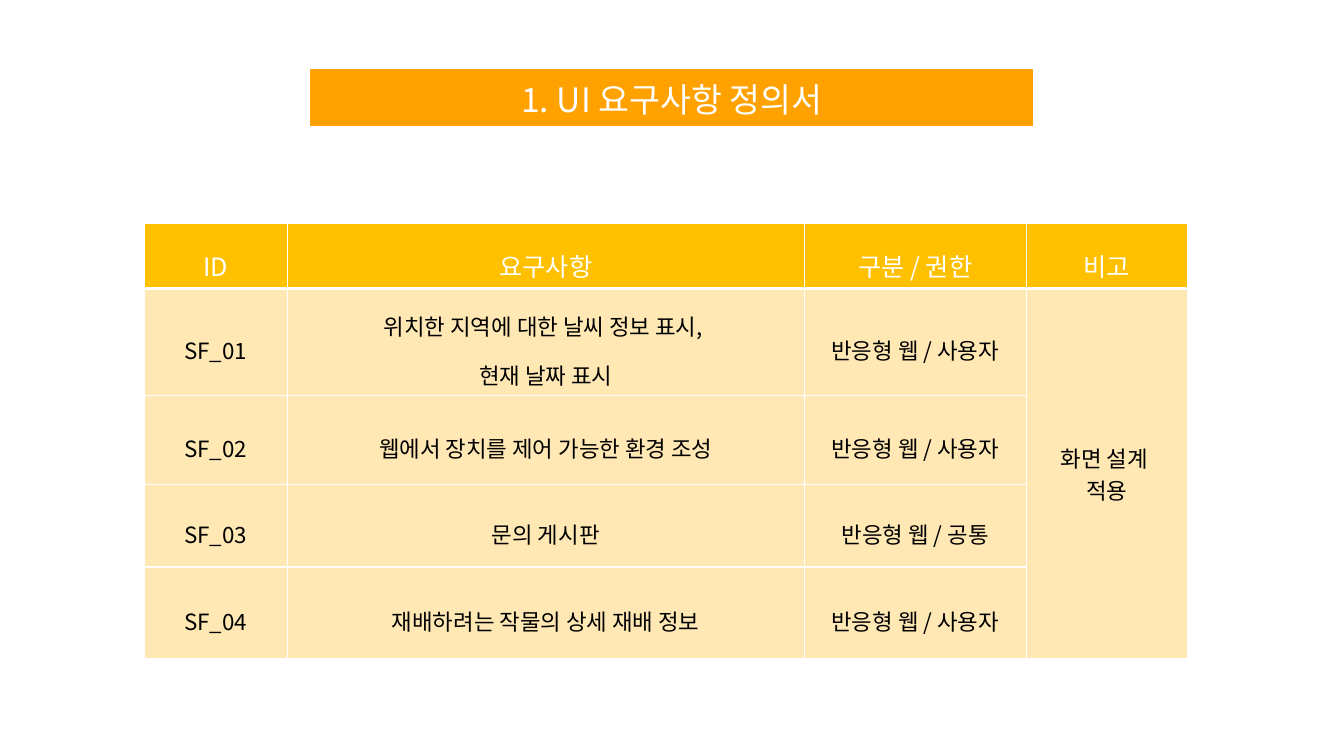
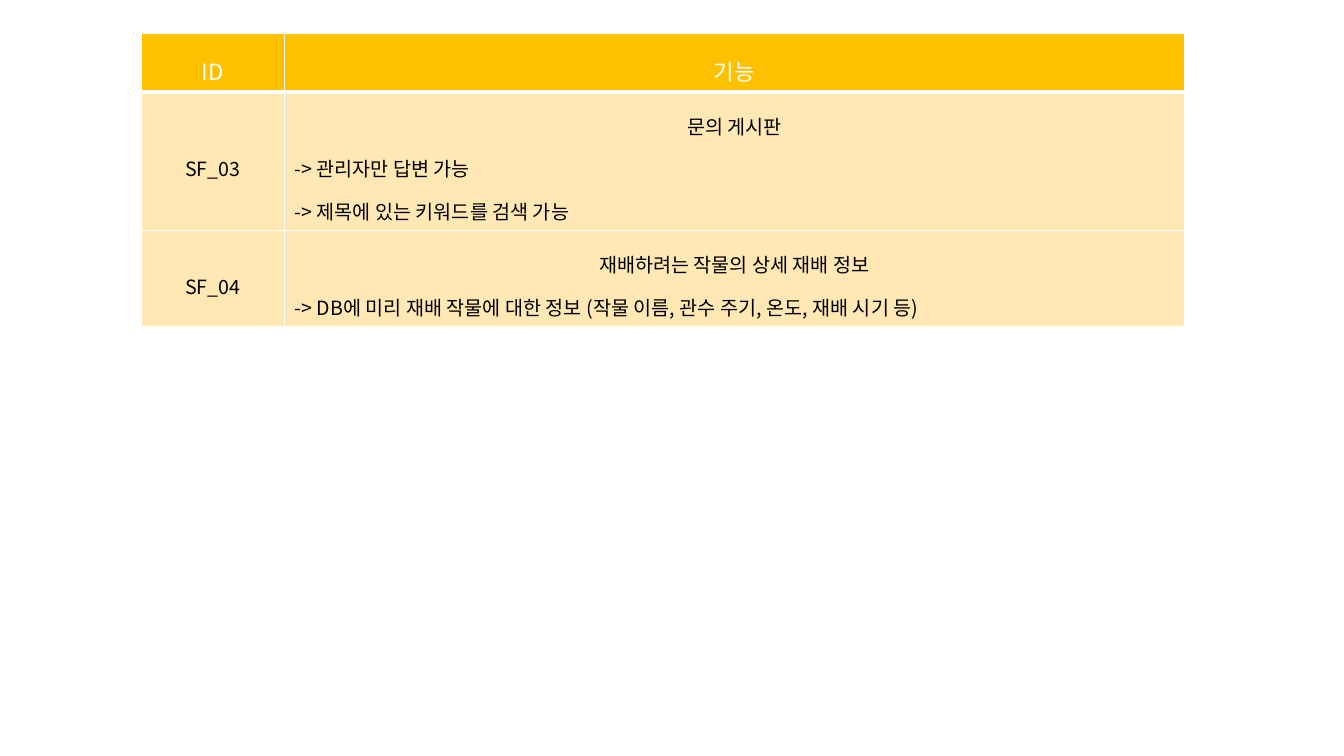
"""Build two slides of UI requirement tables."""
from lxml import etree
from pptx import Presentation
from pptx.dml.color import RGBColor
from pptx.enum import text as text_enum
from pptx.oxml import ns
from pptx.util import Cm, Pt

FONT = "Noto Sans CJK KR"
COLORS = {
    "title": "FFA200",
    "header": "FFC000",
    "body": "FFE8B4",
    "white": "FFFFFF",
    "black": "000000",
}

TITLE = "1. UI 요구사항 정의서"
REQUIREMENTS = [
    ["ID", "요구사항", "구분 / 권한", "비고"],
    ["SF_01", "위치한 지역에 대한 날씨 정보 표시, \n현재 날짜 표시", "반응형 웹 / 사용자", "화면 설계 \n적용"],
    ["SF_02", "웹에서 장치를 제어 가능한 환경 조성", "반응형 웹 / 사용자", None],
    ["SF_03", "문의 게시판", "반응형 웹 / 공통", None],
    ["SF_04", "재배하려는 작물의 상세 재배 정보", "반응형 웹 / 사용자", None],
]
FUNCTIONS = [
    ["ID", "기능"],
    ["SF_03", "문의 게시판\n-> 관리자만 답변 가능\n-> 제목에 있는 키워드를 검색 가능"],
    ["SF_04", "재배하려는 작물의 상세 재배 정보\n"
              "-> DB에 미리 재배 작물에 대한 정보 (작물 이름, 관수 주기, 온도, 재배 시기 등)"],
]


def write_text(frame, content, size, color, spacing=1.5):
    """Write one paragraph per line, with arrow lines on the left."""
    for index, line in enumerate(content.split("\n")):
        paragraph = frame.add_paragraph() if index else frame.paragraphs[0]
        align = text_enum.PP_ALIGN
        paragraph.alignment = align.LEFT if line.startswith("->") else align.CENTER
        paragraph.line_spacing = spacing
        run = paragraph.add_run()
        run.text = line
        run.font.size = Pt(size)
        run.font.bold = False
        run.font.name = FONT
        run.font.color.rgb = RGBColor.from_string(COLORS[color])
        east_asian = etree.SubElement(run.font._element, ns.qn("a:ea"))
        east_asian.set("typeface", FONT)


def style_cell(cell, fill, bottom=1):
    """Give a cell white borders and a solid fill."""
    properties = cell._tc.get_or_add_tcPr()
    for side, width in (("L", 1), ("R", 1), ("T", 1), ("B", bottom)):
        line = etree.SubElement(properties, ns.qn(f"a:ln{side}"), w=str(Pt(width)))
        solid = etree.SubElement(line, ns.qn("a:solidFill"))
        etree.SubElement(solid, ns.qn("a:srgbClr"), val=COLORS["white"])
    cell.fill.solid()
    cell.fill.fore_color.rgb = RGBColor.from_string(COLORS[fill])


def add_grid(slide, left, top, widths, heights):
    """Add a plain table with the given column widths and row heights in cm."""
    table = slide.shapes.add_table(
        len(heights), len(widths), Cm(left), Cm(top), Cm(sum(widths)), Cm(sum(heights))
    ).table
    table.first_row = False
    table.horz_banding = False
    for column, width in zip(table.columns, widths):
        column.width = Cm(width)
    for row, height in zip(table.rows, heights):
        row.height = Cm(height)
    return table


def add_title(slide, content):
    """Add the orange title band."""
    cell = add_grid(slide, 7.8, 1.73, [18.26], [1.4]).cell(0, 0)
    style_cell(cell, "title", bottom=3)
    write_text(cell.text_frame, content, size=24, color="white", spacing=1)


def add_data_table(slide, rows, left, top, widths, heights, header_size, body_size):
    """Add a header row and body rows, where None extends the cell above."""
    table = add_grid(slide, left, top, widths, heights)
    for row_index, row in enumerate(rows):
        is_header = row_index == 0
        for column_index, content in enumerate(row):
            cell = table.cell(row_index, column_index)
            style_cell(cell, "header" if is_header else "body", bottom=3 if is_header else 1)
            if content is None:
                continue
            if not is_header:
                cell.vertical_anchor = text_enum.MSO_ANCHOR.MIDDLE
            is_merged = row_index + 1 < len(rows) and rows[row_index + 1][column_index] is None
            write_text(
                cell.text_frame,
                content,
                size=header_size if is_header else body_size,
                color="white" if is_header else "black",
                spacing=1 if is_merged else 1.5,
            )
            if is_merged:
                cell.merge(table.cell(len(rows) - 1, column_index))


def main():
    """Build and save the presentation."""
    presentation = Presentation()
    presentation.slide_width = Cm(33.87)
    presentation.slide_height = Cm(19.05)
    blank = presentation.slide_layouts[6]

    slide = presentation.slides.add_slide(blank)
    add_data_table(slide, REQUIREMENTS, 3.63, 5.64, [3.61, 13.03, 5.59, 4.06],
                   [1.55, 1.73, 2.24, 2.08, 2.31], header_size=18, body_size=16)
    add_title(slide, TITLE)

    slide = presentation.slides.add_slide(blank)
    add_data_table(slide, FUNCTIONS, 3.56, 0.84, [3.61, 22.68],
                   [1.27, 3.12, 1.14], header_size=16, body_size=14)

    presentation.save("out.pptx")


if __name__ == "__main__":
    main()
